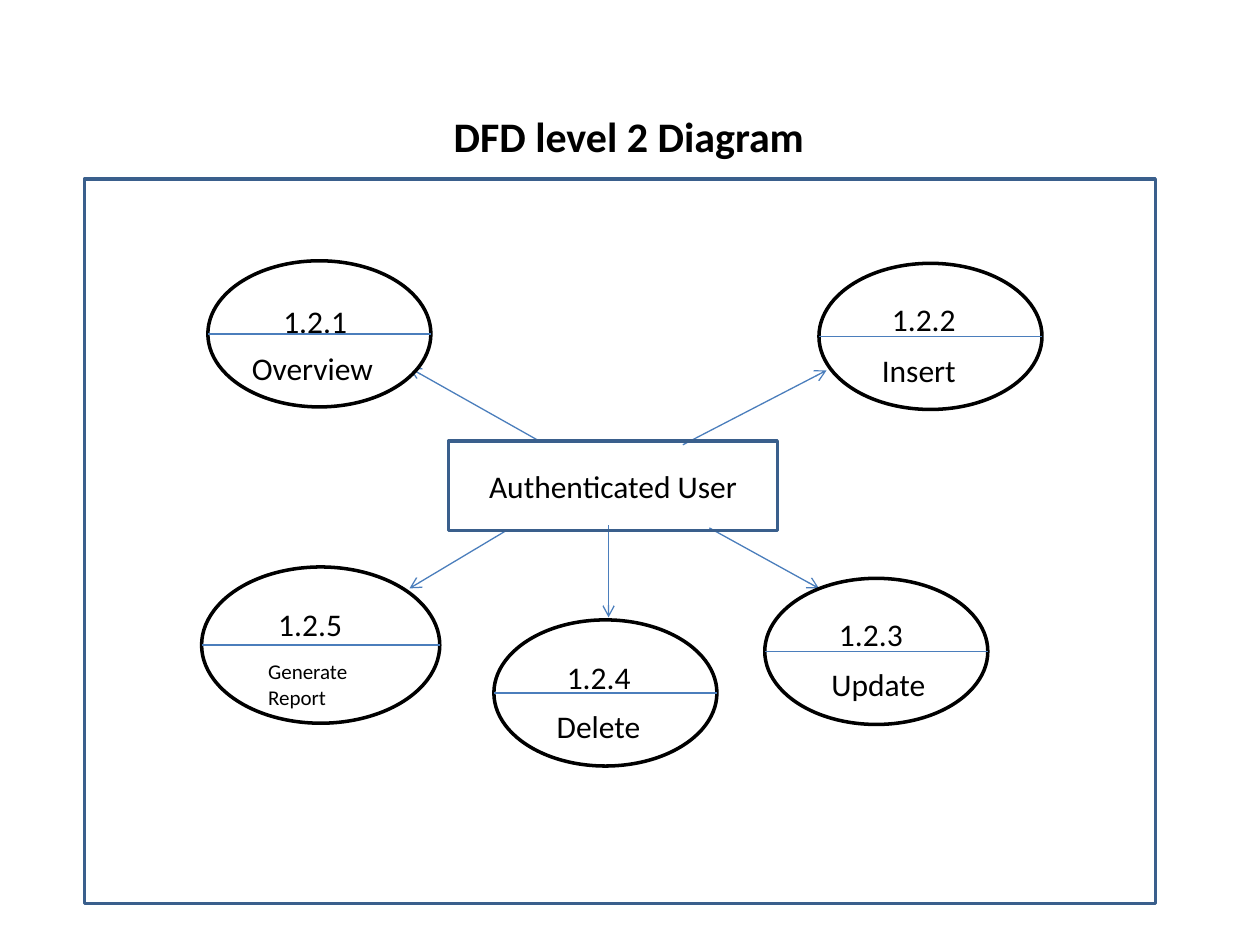
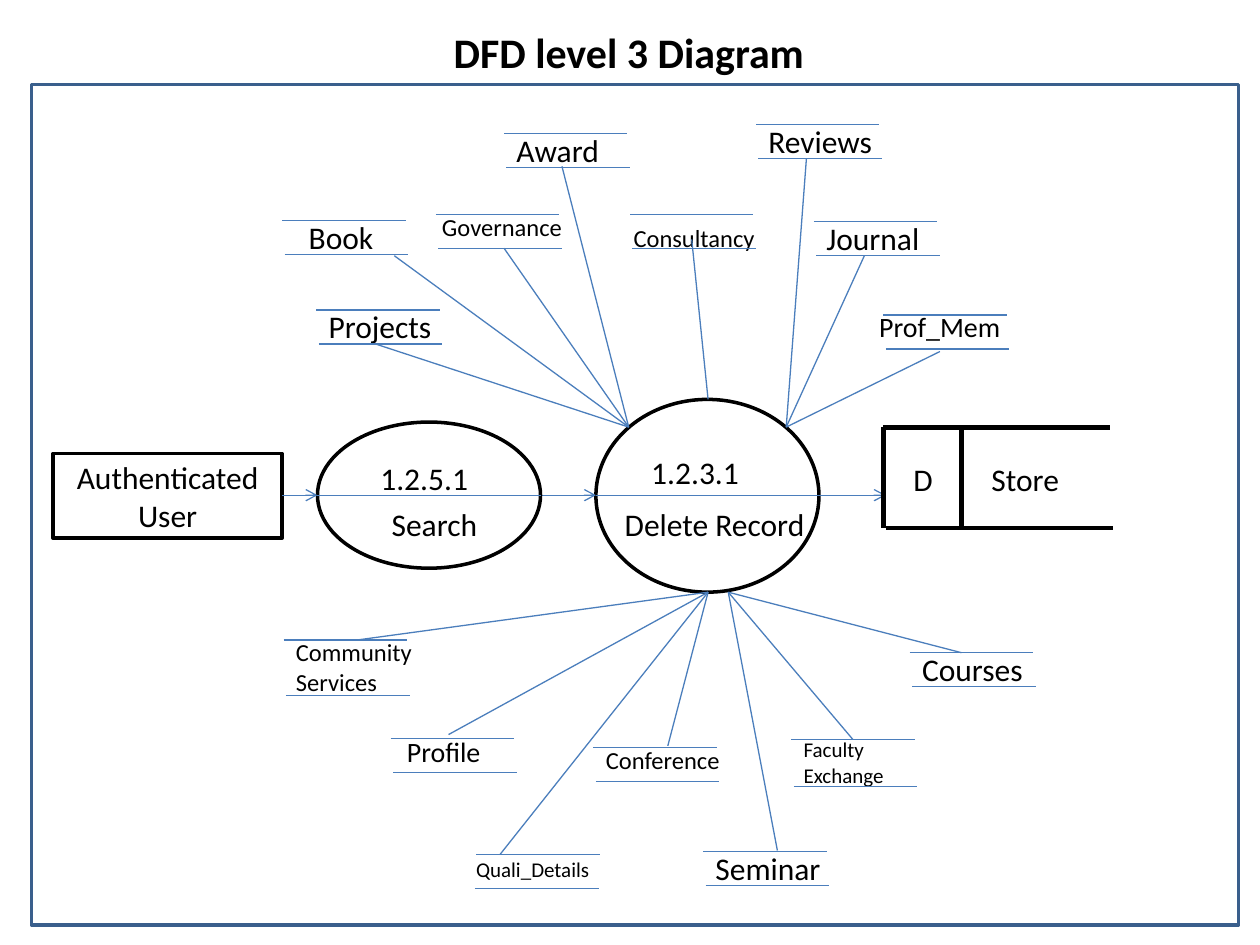
from lxml import etree
from pptx import Presentation
from pptx.dml.color import RGBColor
from pptx.enum.shapes import MSO_CONNECTOR, MSO_SHAPE
from pptx.enum.text import MSO_ANCHOR, MSO_AUTO_SIZE, PP_ALIGN
from pptx.oxml.ns import qn
from pptx.util import Inches, Pt

STRAIGHT = MSO_CONNECTOR.STRAIGHT
ELLIPSE, RECT = MSO_SHAPE.OVAL, MSO_SHAPE.RECTANGLE
TOP, MIDDLE = MSO_ANCHOR.TOP, MSO_ANCHOR.MIDDLE
LEFT, CENTER = PP_ALIGN.LEFT, PP_ALIGN.CENTER
FIT, FIXED = MSO_AUTO_SIZE.SHAPE_TO_FIT_TEXT, MSO_AUTO_SIZE.NONE
BLACK, WHITE, BLUE, FRAME = "000000", "FFFFFF", "4B7EBC", "3A5F8C"


def color(value):
    return RGBColor.from_string(value)


def inches(*values):
    return [Inches(v) for v in values]


class Diagram:
    font = "Calibri"
    thin, outline, bar = 0.75, 2, 2.75
    rule_width, store_width, process_width = 0.98, 1.17, 1.85

    def __init__(self, prs):
        self.prs = prs

    def new_slide(self, title, top):
        self.slide = self.prs.slides.add_slide(self.prs.slide_layouts[5])
        self.shapes = self.slide.shapes
        sp = self.shapes.title
        sp.left, sp.top, sp.width, sp.height = inches(3.5, top, 3.92, 0.5)
        self.set_text(sp, title, size=24, bold=True, auto_size=FIXED)

    def set_text(self, sp, text, size=18, bold=False, align=LEFT, **frame):
        tf = sp.text_frame
        settings = {"word_wrap": True, "vertical_anchor": TOP, **frame}
        for name, value in settings.items():
            setattr(tf, name, value)
        tf.text = text
        for p in tf.paragraphs:
            p.alignment = align
            for r in p.runs:
                for name, value in {"name": self.font, "size": Pt(size), "bold": bold}.items():
                    setattr(r.font, name, value)
                r.font.color.rgb = color(BLACK)

    def open_group(self):
        self.shapes = self.slide.shapes.add_group_shape().shapes

    def close_group(self):
        self.shapes = self.slide.shapes

    def label(self, text, x, y, width, size=18, pad=0, wrap=True):
        rows = text.count("\n") + 1
        height = 0.1 + rows * size / 60
        sp = self.shapes.add_textbox(*inches(x, y, width, height))
        self.set_text(sp, text, size, word_wrap=wrap, auto_size=FIT,
                      margin_left=Inches(0.1 + pad))

    def shape(self, kind, box, line, fill=None, text=None):
        sp = self.shapes.add_shape(kind, *inches(*box))
        sp.shadow.inherit = False
        sp.line.color.rgb = color(line)
        sp.line.width = Pt(self.outline)
        if fill:
            sp.fill.solid()
            sp.fill.fore_color.rgb = color(fill)
        else:
            sp.fill.background()
        if text:
            self.set_text(sp, text, align=CENTER, vertical_anchor=MIDDLE)

    def line(self, start, end, stroke=BLUE, width=thin, arrow=False):
        cxn = self.shapes.add_connector(STRAIGHT, *inches(*start, *end))
        cxn.line.color.rgb = color(stroke)
        cxn.line.width = Pt(width)
        props = cxn.element.spPr
        if arrow:
            etree.SubElement(props.find(qn("a:ln")), qn("a:tailEnd"), type="arrow")
        etree.SubElement(props, qn("a:effectLst"))

    def fan(self, start, ends):
        for end in ends:
            self.line(start, end)

    def process(self, box, number, number_at, name, name_at, name_size=18):
        x, y, w, h = box
        self.open_group()
        self.shape(ELLIPSE, box, BLACK, WHITE)
        self.label(name, *name_at, self.process_width, name_size)
        self.label(number, *number_at, self.process_width)
        self.line((x, y + h / 2), (x + w, y + h / 2))
        self.close_group()

    def store(self, text, x, y, size=18, dx=0, dy=-0.07, gap=0.27, skew=0.02, pad=0):
        self.open_group()
        self.label(text, x + dx, y + dy, self.store_width, size, pad)
        for left, top in ((x, y), (x + skew, y + gap)):
            self.line((left, top), (left + self.rule_width, top))
        self.close_group()

    def database(self, x, y, width, height, divider):
        bottom = y + height
        self.open_group()
        for start, end in (
            ((x, y), (x, bottom)),
            ((x, y), (x + width, y)),
            ((x + 0.02, bottom), (x + 0.02 + width, bottom)),
            ((divider, y), (divider, bottom)),
        ):
            self.line(start, end, BLACK, self.bar)
        self.close_group()


prs = Presentation()
prs.slide_width, prs.slide_height = inches(10, 7.5)
d = Diagram(prs)

d.new_slide("DFD level 2 Diagram", 0.83)
for start, end in (
    ((4.28, 3.5), (3.25, 2.92)),
    ((4.02, 4.21), (3.25, 4.67)),
    ((5.42, 3.53), (6.56, 2.94)),
    ((4.83, 4.17), (4.83, 4.9)),
    ((5.63, 4.19), (6.5, 4.67)),
):
    d.line(start, end, arrow=True)
for process in (
    ((6.5, 2.09, 1.77, 1.16), "1.2.2", (6.98, 2.33), "Insert", (6.9, 2.74)),
    ((1.6, 4.5, 1.89, 1.24), "1.2.5", (2.11, 4.75), "Generate\nReport", (2.03, 5.18), 12),
    ((3.92, 4.92, 1.77, 1.16), "1.2.4", (4.4, 5.17), "Delete", (4.32, 5.56)),
    ((6.07, 4.59, 1.77, 1.16), "1.2.3", (6.56, 4.83), "Update", (6.5, 5.23)),
    ((1.65, 2.07, 1.77, 1.16), "1.2.1", (2.15, 2.35), "Overview", (1.9, 2.72)),
):
    d.process(*process)
d.shape(RECT, (3.56, 3.5, 2.61, 0.71), FRAME, text="Authenticated User")
d.shape(RECT, (0.67, 1.42, 8.5, 5.75), FRAME)

d.new_slide("DFD level 3 Diagram", 0.16)
d.process((4.73, 3.17, 1.77, 1.53), "1.2.3.1", (5.07, 3.55), "Delete Record", (4.86, 3.96))
d.line((2.24, 3.93), (4.73, 3.93), arrow=True)
d.shape(RECT, (0.42, 3.6, 1.82, 0.67), BLACK, WHITE, "Authenticated\nUser")
d.line((6.48, 3.93), (7.03, 3.93), arrow=True)
for text, x, y, extra in (
    ("Award", 4, 1.06, {}),
    ("Conference", 4.71, 5.93, {"size": 14}),
    ("Quali_Details", 3.78, 6.78, {"size": 12, "dx": -0.1, "dy": -0.03, "skew": -0.01}),
    ("Book", 2.24, 1.75, {"pad": 0.11}),
    ("Profile", 3.1, 5.86, {"size": 16, "dx": -0.12, "dy": -0.08, "pad": 0.15}),
    ("Prof_Mem", 7.01, 2.5, {"size": 16, "dx": -0.13, "dy": -0.09}),
    ("Journal", 6.46, 1.76, {}),
    ("Governance", 3.46, 1.7, {"size": 14, "dx": -0.05}),
    ("Faculty\nExchange", 6.28, 5.87, {"size": 12, "gap": 0.37}),
    ("Consultancy", 5, 1.7, {"size": 14, "dx": -0.07, "dy": 0.02}),
    ("Community Services", 2.25, 5.08, {"size": 14, "gap": 0.44}),
    ("Courses", 7.22, 5.18, {}),
    ("Seminar", 5.58, 6.76, {}),
    ("Reviews", 6, 0.99, {}),
    ("Projects", 2.51, 2.46, {}),
):
    d.store(text, x, y, **extra)
for start, ends in (
    ((4.99, 3.39), ((2.98, 2.73), (4, 1.97), (4.46, 1.32), (3.13, 2.03))),
    ((5.62, 3.17), ((5.49, 1.9),)),
    ((6.24, 3.39), ((6.4, 1.26), (6.86, 2.03), (7.46, 2.79))),
    ((5.62, 4.7), ((2.83, 5.08), (3.56, 5.83), (5.3, 5.92), (3.97, 6.78))),
    ((5.78, 4.7), ((6.17, 6.75), (6.77, 5.87), (7.63, 5.18))),
):
    d.fan(start, ends)
d.database(7.01, 3.39, 1.8, 0.8, 7.63)
d.label("D", 7.15, 3.6, 0.36, wrap=False)
d.label("Store", 7.77, 3.6, 0.82, wrap=False)
d.shape(RECT, (0.25, 0.67, 9.58, 6.67), FRAME)
d.process((2.52, 3.35, 1.77, 1.16), "1.2.5.1", (2.92, 3.59), "Search", (3.01, 3.96))
d.line((2.24, 3.93), (2.52, 3.93), arrow=True)

prs.save("out.pptx")
